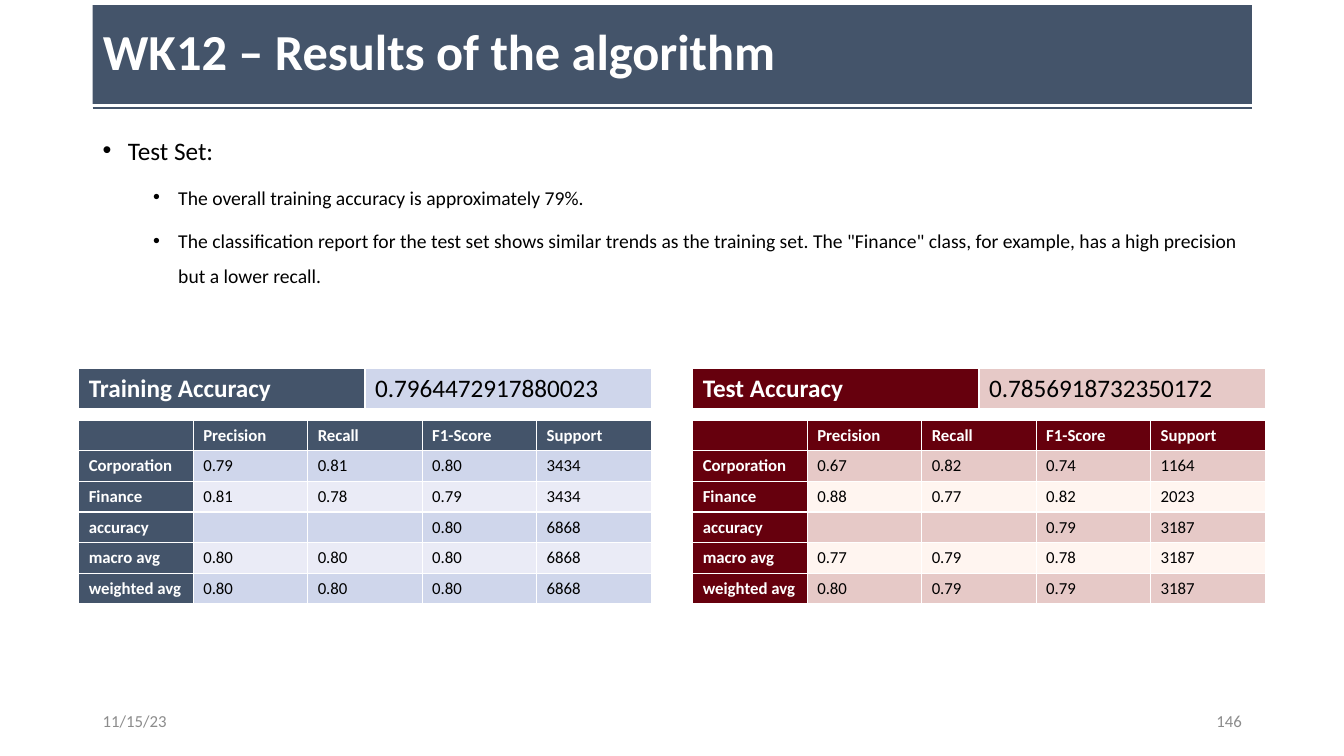
from dataclasses import dataclass

from lxml import etree
from pptx import Presentation
from pptx.dml.color import RGBColor
from pptx.enum import shapes, text
from pptx.oxml import ns
from pptx.util import Pt


@dataclass(frozen=True)
class Theme:
    font: str = "Calibri"
    navy: str = "44546A"
    white: str = "FFFFFF"
    black: str = "000000"
    grey: str = "8C8C8C"
    title_size: float = 36
    large_size: float = 18
    point_size: float = 14
    small_size: float = 12


@dataclass(frozen=True)
class Palette:
    dark: str
    band: str
    light: str


@dataclass(frozen=True)
class Report:
    label: str
    accuracy: str
    left: float
    palette: Palette
    scores: tuple[tuple[str, ...], ...]


@dataclass(frozen=True)
class Bullet:
    words: str
    size: float
    indent: float
    level: int


@dataclass(frozen=True)
class Footer:
    words: str
    left: float
    alignment: text.PP_ALIGN


THEME = Theme()

# Page measures, in points
CONTENT_LEFT, CONTENT_WIDTH = 66.24, 828
TABLE_WIDTH = 409
ACCURACY_TOP, ACCURACY_HEIGHT = 263.3, 29.5
SCORES_TOP, SCORE_ROW_HEIGHT = 300.25, 21.85

COLUMN_NAMES = ("", "Precision", "Recall", "F1-Score", "Support")
ROW_NAMES = ("Corporation", "Finance", "accuracy", "macro avg", "weighted avg")

REPORTS = (
    Report("Training Accuracy", "0.7964472917880023", 56.2, Palette(THEME.navy, "CFD6EB", "EAEBF6"), (
        ("0.79", "0.81", "0.80", "3434"),
        ("0.81", "0.78", "0.79", "3434"),
        ("", "", "0.80", "6868"),
        ("0.80", "0.80", "0.80", "6868"),
        ("0.80", "0.80", "0.80", "6868"),
    )),
    Report("Test Accuracy", "0.7856918732350172", 494.8, Palette("66000D", "E6C9C7", "FFF5F0"), (
        ("0.67", "0.82", "0.74", "1164"),
        ("0.88", "0.77", "0.82", "2023"),
        ("", "", "0.79", "3187"),
        ("0.77", "0.79", "0.78", "3187"),
        ("0.80", "0.79", "0.79", "3187"),
    )),
)

BULLETS = (
    Bullet("Test Set:", THEME.large_size, 18, 0),
    Bullet("The overall training accuracy is approximately 79%.", THEME.point_size, 54, 1),
    Bullet('The classification report for the test set shows similar trends as the training set. '
           'The "Finance" class, for example, has a high precision but a lower recall.',
           THEME.point_size, 54, 1),
)

FOOTERS = (
    Footer("11/15/23", CONTENT_LEFT, text.PP_ALIGN.LEFT),
    Footer("146", 678.24, text.PP_ALIGN.RIGHT),
)


def set_font(paragraph, size: float, color: str, bold: bool = False) -> None:
    font = paragraph.font
    font.name, font.size, font.bold = THEME.font, Pt(size), bold
    font.color.rgb = RGBColor.from_string(color)


def add_title(slide, words: str) -> None:
    title = slide.shapes.title
    title.left, title.top = Pt(CONTENT_LEFT), Pt(3.6)
    title.width, title.height = Pt(CONTENT_WIDTH), Pt(70.56)
    title.fill.solid()
    title.fill.fore_color.rgb = RGBColor.from_string(THEME.navy)
    title.text_frame.text = words
    title.text_frame.vertical_anchor = text.MSO_ANCHOR.MIDDLE
    paragraph = title.text_frame.paragraphs[0]
    paragraph.alignment = text.PP_ALIGN.LEFT
    paragraph.line_spacing = 0.9
    set_font(paragraph, THEME.title_size, THEME.white, True)


def add_rule(slide, top: float) -> None:
    rule = slide.shapes.add_connector(
        shapes.MSO_CONNECTOR.STRAIGHT,
        Pt(CONTENT_LEFT), Pt(top), Pt(CONTENT_LEFT + CONTENT_WIDTH), Pt(top))
    rule.line.color.rgb = RGBColor.from_string(THEME.navy)
    rule.line.width = Pt(1.5)
    etree.SubElement(rule._element.spPr, ns.qn("a:effectLst"))


def add_bullets(slide, bullets: tuple[Bullet, ...]) -> None:
    box = slide.shapes.add_textbox(Pt(CONTENT_LEFT), Pt(82.1), Pt(CONTENT_WIDTH), Pt(404.6))
    frame = box.text_frame
    frame.word_wrap = True
    for index, bullet in enumerate(bullets):
        paragraph = frame.add_paragraph() if index else frame.paragraphs[0]
        paragraph.text = bullet.words
        paragraph.level = bullet.level
        paragraph.line_spacing = 1.5
        paragraph.space_after = Pt(6)
        properties = paragraph._p.get_or_add_pPr()
        properties.set("marL", str(Pt(bullet.indent)))
        properties.set("indent", str(Pt(-18)))
        etree.SubElement(properties, ns.qn("a:buFont"), typeface="Arial")
        etree.SubElement(properties, ns.qn("a:buChar"), char="•")
        set_font(paragraph, bullet.size, THEME.black)


def add_footer(slide, footer: Footer) -> None:
    box = slide.shapes.add_textbox(Pt(footer.left), Pt(500.5), Pt(216), Pt(28.75))
    frame = box.text_frame
    frame.word_wrap = True
    frame.vertical_anchor = text.MSO_ANCHOR.MIDDLE
    frame.text = footer.words
    frame.paragraphs[0].alignment = footer.alignment
    set_font(frame.paragraphs[0], THEME.small_size, THEME.grey)


def add_borders(cell, bottom_width: float) -> None:
    properties = cell._tc.get_or_add_tcPr()
    for side, width in (("lnL", 1), ("lnR", 1), ("lnT", 1), ("lnB", bottom_width)):
        line = etree.SubElement(properties, ns.qn(f"a:{side}"), w=str(Pt(width)))
        fill = etree.SubElement(line, ns.qn("a:solidFill"))
        etree.SubElement(fill, ns.qn("a:srgbClr"), val=THEME.white)


def add_table(slide, rows: list[tuple[str, ...]], palette: Palette, left: float, top: float,
              row_height: float, size: float, header_rows: int, bottom_width: float) -> None:
    column_count = len(rows[0])
    table = slide.shapes.add_table(len(rows), column_count, Pt(left), Pt(top),
                                   Pt(TABLE_WIDTH), Pt(row_height * len(rows))).table
    for row_index, row in enumerate(rows):
        table.rows[row_index].height = Pt(row_height)
        band = palette.light if (row_index - header_rows) % 2 else palette.band
        for column_index, words in enumerate(row):
            heading = row_index < header_rows or column_index == 0
            cell = table.cell(row_index, column_index)
            add_borders(cell, bottom_width)
            cell.fill.solid()
            cell.fill.fore_color.rgb = RGBColor.from_string(palette.dark if heading else band)
            paragraph = cell.text_frame.paragraphs[0]
            if words:
                paragraph.text = words
            else:  # keeps an empty cell as low as its row
                etree.SubElement(paragraph._p, ns.qn("a:endParaRPr"), sz=str(int(size * 100)))
            set_font(paragraph, size, THEME.white if heading else THEME.black, heading)


def add_report(slide, report: Report) -> None:
    scores = [COLUMN_NAMES] + [(name, *values) for name, values in zip(ROW_NAMES, report.scores)]
    add_table(slide, scores, report.palette, report.left, SCORES_TOP,
              SCORE_ROW_HEIGHT, THEME.small_size, header_rows=1, bottom_width=1)
    add_table(slide, [(report.label, report.accuracy)], report.palette, report.left, ACCURACY_TOP,
              ACCURACY_HEIGHT, THEME.large_size, header_rows=0, bottom_width=3)


def main() -> None:
    presentation = Presentation()
    presentation.slide_width, presentation.slide_height = Pt(960), Pt(540)
    slide = presentation.slides.add_slide(presentation.slide_layouts[5])  # title only

    # Heading and findings
    add_title(slide, "WK12 – Results of the algorithm")
    add_rule(slide, 77.04)
    add_bullets(slide, BULLETS)

    # Result tables
    for report in REPORTS:
        add_report(slide, report)

    # Date and page number
    for footer in FOOTERS:
        add_footer(slide, footer)

    presentation.save("out.pptx")


if __name__ == "__main__":
    main()
